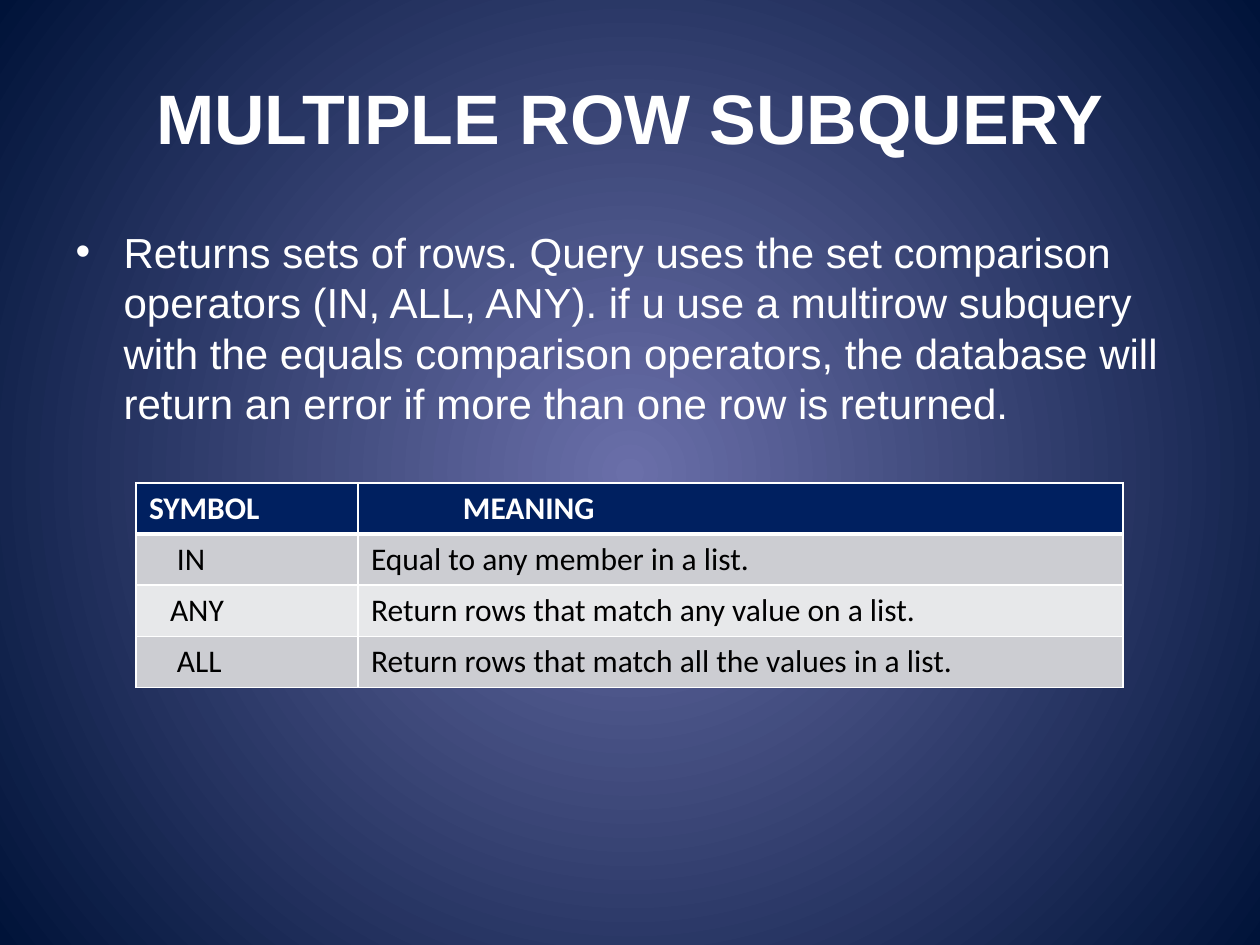
from lxml.etree import SubElement
from pptx import Presentation
from pptx.dml.color import RGBColor as RGB
from pptx.enum.text import MSO_ANCHOR as Anchor, PP_ALIGN as Align
from pptx.oxml import parse_xml
from pptx.oxml.ns import nsdecls, qn
from pptx.util import Emu, Pt

WHITE = "FFFFFF"


def px(n):
    """Turn px, 126 to the inch, into EMU."""
    return Emu(round(n * 914400 / 126))


def style(run, size, name, color, bold=False):
    font = run.font
    font.size, font.name, font.bold = Pt(size), name, bold
    font.color.rgb = RGB.from_string(color)


deck = Presentation()
deck.slide_width, deck.slide_height = px(1260), px(945)
slide = deck.slides.add_slide(deck.slide_layouts[1])

# Background: a glow from the middle
fill = slide.background.fill
fill.gradient()
for stop, pos, color in zip(fill.gradient_stops, (0, 1), ("6A6FA9", "001339")):
    stop.position = pos
    stop.color.rgb = RGB.from_string(color)
lin = slide.element.find(".//" + qn("a:lin"))
lin.getparent().replace(lin, parse_xml(
    f'<a:path {nsdecls("a")} path="circle">'
    '<a:fillToRect l="50000" t="50000" r="50000" b="50000"/></a:path>'))

# Title and list
title, body = slide.placeholders
title.left, title.top, title.width, title.height = px(63), px(38), px(1134), px(158)
title.text_frame.text = "MULTIPLE ROW SUBQUERY"
title.text_frame.vertical_anchor = Anchor.MIDDLE
para = title.text_frame.paragraphs[0]
para.alignment = Align.CENTER
style(para.runs[0], 40, "Arial", WHITE, True)

body.left, body.top, body.width, body.height = px(63), px(220), px(1134), px(624)
body.text_frame.text = (
    "Returns sets of rows. Query uses the set comparison operators "
    "(IN, ALL, ANY). if u use a multirow subquery with the equals "
    "comparison operators, the database will return an error if more "
    "than one row is returned.")
para = body.text_frame.paragraphs[0]
style(para.runs[0], 24, "Arial", WHITE)
props = para._p.get_or_add_pPr()
props.set("marL", str(px(48)))
props.set("indent", str(px(-48)))
SubElement(props, qn("a:buClr")).append(
    parse_xml(f'<a:srgbClr {nsdecls("a")} val="{WHITE}"/>'))
SubElement(props, qn("a:buChar")).set("char", "•")

# Table of operators: text and left inset of each cell
rows = [
    (("SYMBOL", 13), ("MEANING", 105)),
    (("IN", 41), ("Equal to any member in a list.", 13)),
    (("ANY", 34), ("Return rows that match any value on a list.", 13)),
    (("ALL", 41), ("Return rows that match all the values in a list.", 13)),
]
fills = ["002060", "CCCDD2", "E7E8EA", "CCCDD2"]
table = slide.shapes.add_table(4, 2, px(136), px(483), px(987), px(204)).table
for col, wide in zip(table.columns, (222, 765)):
    col.width = px(wide)
for r, row in enumerate(rows):
    table.rows[r].height = px(51)
    for c, (text, inset) in enumerate(row):
        cell = table.cell(r, c)
        cell.text_frame.text = text
        cell.margin_left = px(inset)
        head = r == 0
        style(cell.text_frame.paragraphs[0].runs[0], 18, "Calibri",
              WHITE if head else "000000", head)
        for side in "LRTB":
            thick = (r, side) in ((0, "B"), (1, "T"))
            cell._tc.get_or_add_tcPr().append(parse_xml(
                f'<a:ln{side} {nsdecls("a")} w="{Pt(3 if thick else 1)}"><a:solidFill>'
                f'<a:srgbClr val="{WHITE}"/></a:solidFill></a:ln{side}>'))
        cell.fill.solid()
        cell.fill.fore_color.rgb = RGB.from_string(fills[r])

deck.save("out.pptx")
